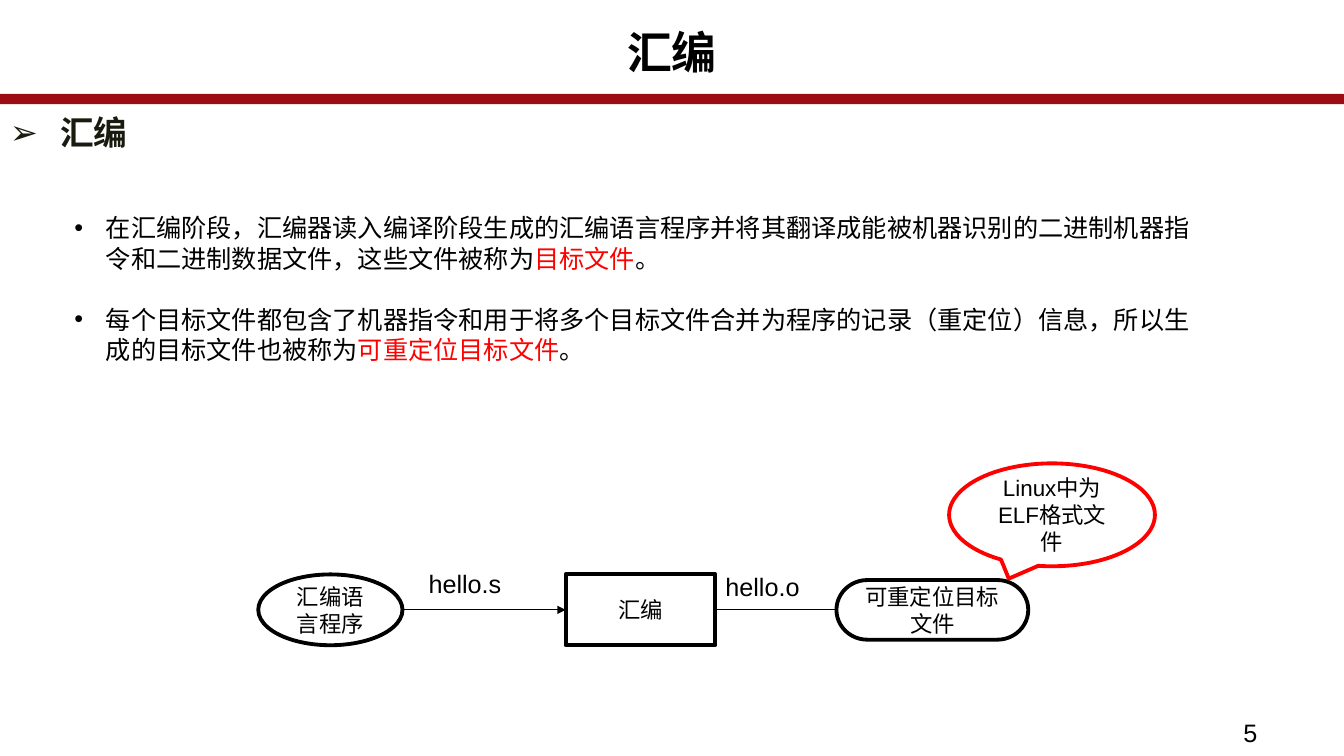
from dataclasses import dataclass

from lxml.etree import SubElement
from pptx import Presentation
from pptx.dml.color import RGBColor as RGB
from pptx.enum.shapes import MSO_CONNECTOR as Connector, MSO_SHAPE as Shape
from pptx.enum.text import MSO_ANCHOR as Anchor, PP_ALIGN as Align
from pptx.oxml.ns import qn
from pptx.util import Pt


@dataclass(frozen=True)
class Theme:
    font: str = "Arial"
    black: RGB = RGB(0, 0, 0)
    white: RGB = RGB(255, 255, 255)
    red: RGB = RGB(255, 0, 0)
    bar: RGB = RGB(0x9C, 0x0C, 0x15)
    heading: RGB = RGB(0x19, 0x1B, 0x0E)
    title_size: int = 32
    heading_size: int = 24
    body_size: int = 18
    node_size: int = 16
    outline: float = 2.75
    arrow: float = 0.5


class SlideBuilder:
    def __init__(self, slide, theme):
        self.shapes = slide.shapes
        self.theme = theme

    def add_runs(self, paragraph, runs, size, bold=False):
        for words, color in runs:
            run = paragraph.add_run()
            run.text = words
            font = run.font
            font.size, font.bold, font.name = Pt(size), bold, self.theme.font
            font.color.rgb = color
            SubElement(run._r.get_or_add_rPr(), qn("a:ea"), typeface=self.theme.font)

    def bullet(self, paragraph, mark, indent):
        properties = paragraph._p.get_or_add_pPr()
        properties.set("marL", str(Pt(indent)))
        properties.set("indent", str(-Pt(indent)))
        SubElement(properties, qn("a:buFont"), typeface=self.theme.font)
        SubElement(properties, qn("a:buChar"), char=mark)

    def text(self, box, paragraphs, size, bold=False, align=Align.LEFT, mark=None,
             indent=0, spacing=None, gap=0, top_inset=3.6):
        frame = self.shapes.add_textbox(*map(Pt, box)).text_frame
        frame.word_wrap = True
        frame.margin_top = Pt(top_inset)
        for index, runs in enumerate(paragraphs):
            paragraph = frame.add_paragraph() if index else frame.paragraphs[0]
            if mark:
                self.bullet(paragraph, mark, indent)
            paragraph.alignment = align
            if spacing:
                paragraph.line_spacing = spacing
            if index:
                paragraph.space_before = Pt(gap)
            self.add_runs(paragraph, runs, size, bold)

    def node(self, kind, box, label="", fill=None, line=None):
        theme = self.theme
        node = self.shapes.add_shape(kind, *map(Pt, box))
        node.shadow.inherit = False
        node.fill.solid()
        node.fill.fore_color.rgb = fill or theme.white
        node.line.color.rgb = line or theme.black
        node.line.width = Pt(theme.outline)
        if label:
            frame = node.text_frame
            frame.word_wrap = True
            frame.vertical_anchor = Anchor.MIDDLE
            frame.paragraphs[0].alignment = Align.CENTER
            self.add_runs(frame.paragraphs[0], [(label, theme.black)], theme.node_size)
        return node

    def connect(self, start, end, source=None, target=None, arrow=False):
        link = self.shapes.add_connector(Connector.STRAIGHT, *map(Pt, start + end))
        if source:
            link.begin_connect(source, 3)
        if target:
            link.end_connect(target, 1)
        link.line.color.rgb = self.theme.black
        link.line.width = Pt(self.theme.arrow)
        if arrow:
            SubElement(link.line._get_or_add_ln(), qn("a:tailEnd"), type="triangle")
        SubElement(link._element.spPr, qn("a:effectLst"))


def main():
    deck = Presentation()
    deck.slide_width, deck.slide_height = Pt(960), Pt(540)
    theme = Theme()
    page = SlideBuilder(deck.slides.add_slide(deck.slide_layouts[6]), theme)
    black, red = theme.black, theme.red

    page.node(Shape.ROUNDED_RECTANGLE, (-0.5, 68.5, 960.5, 4.5),
              fill=theme.bar, line=theme.bar)
    page.text((0, 19, 960, 54), [[("汇编", black)]], theme.title_size,
              bold=True, align=Align.CENTER, spacing=0.89)
    page.text((0, 79, 459, 423), [[("汇编", theme.heading)]], theme.heading_size,
              bold=True, mark="➢", indent=36, spacing=0.94)
    page.text((881, 509, 78.5, 31), [[("5", black)]], theme.body_size)

    explanation = [
        [("在汇编阶段，汇编器读入编译阶段生成的汇编语言程序并将其翻译成能被机器识别的"
          "二进制机器指令和二进制数据文件，这些文件被称为", black),
         ("目标文件", red), ("。", black)],
        [("每个目标文件都包含了机器指令和用于将多个目标文件合并为程序的记录（重定位）"
          "信息，所以生成的目标文件也被称为", black),
         ("可重定位目标文件", red), ("。", black)],
    ]
    page.text((46, 127.5, 826.5, 204), explanation, theme.body_size,
              mark="•", indent=22.5, gap=22, top_inset=24.5)

    axis = 435.6
    page.node(Shape.FLOWCHART_CONNECTOR, (184.5, axis - 25.3, 103, 50.6), "汇编语言程序")
    assembler = page.node(Shape.FLOWCHART_PROCESS, (404, axis - 25.3, 107, 50.6), "汇编")
    target = page.node(Shape.FLOWCHART_TERMINATOR, (597.5, axis - 21.3, 137, 42.6),
                       "可重定位目标文件")
    page.connect((287.5, axis), (404, axis), target=assembler, arrow=True)
    page.connect((511, axis), (597.5, axis), source=assembler, target=target)
    page.text((299, 402.5, 81.5, 29), [[("hello.s", black)]], theme.body_size)
    page.text((511, 404.5, 90.5, 29), [[("hello.o", black)]], theme.body_size)

    note = page.node(Shape.OVAL_CALLOUT, (678, 331, 147, 73.5),
                     "Linux中为ELF格式文件", line=red)
    note.adjustments[0], note.adjustments[1] = -0.21, 0.62

    deck.save("out.pptx")


if __name__ == "__main__":
    main()
